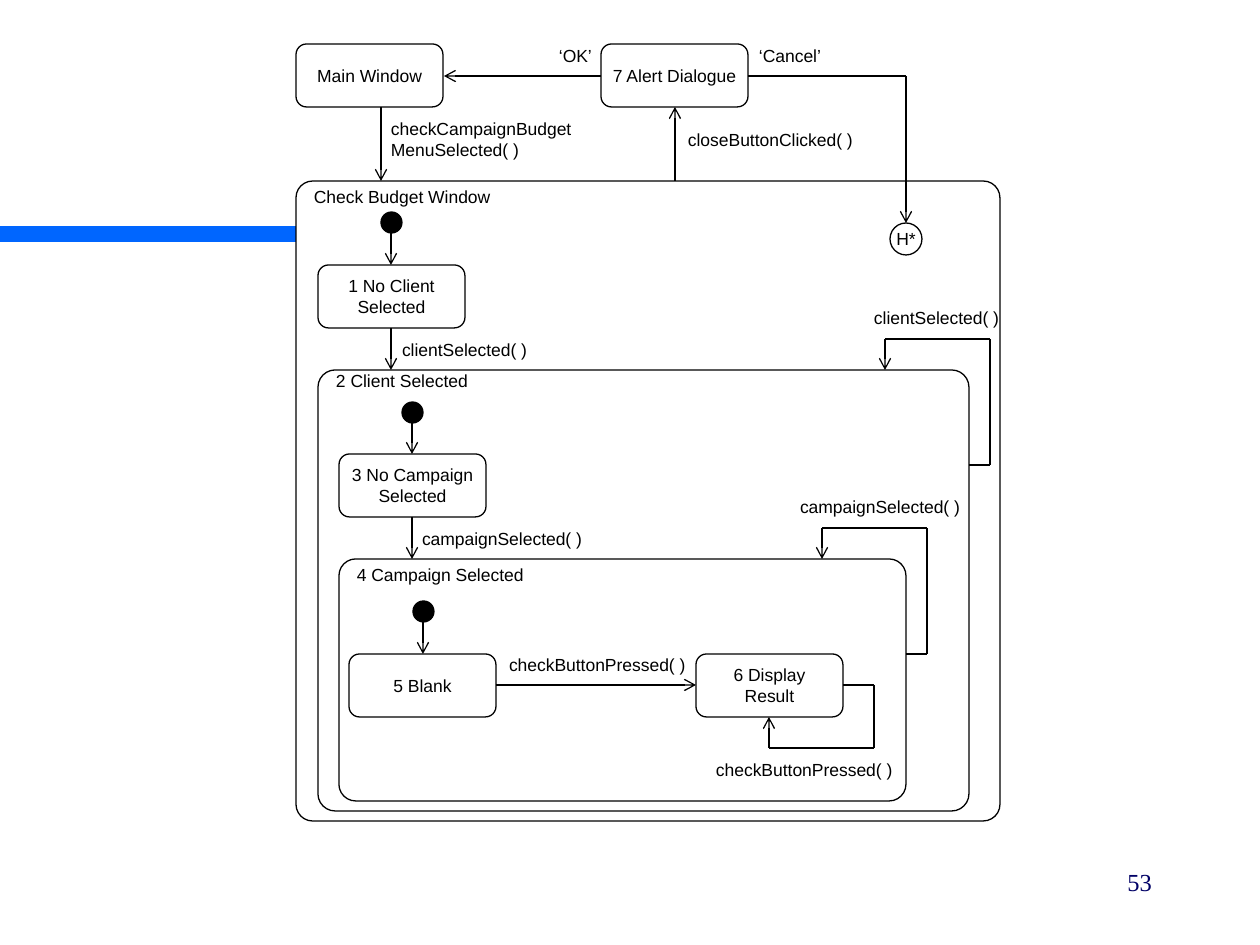
from itertools import pairwise

from lxml import etree
from pptx import Presentation
from pptx import util as u
from pptx.dml.color import RGBColor
from pptx.enum import shapes, text
from pptx.oxml import ns

PX = 914400 // 126
COLOURS = {"ink": "000000", "paper": "FFFFFF", "bar": "0066FF", "number": "000066"}
STATE_W, STATE_H = 147, 63
DOT = 21
CORNER = 0.167

# title, (left, top, width, height), corner ratio, top inset
COMPOSITES = [
    ("Check Budget Window", (296, 181, 704, 640), 0.026, 0),
    ("2 Client Selected", (318, 370, 651, 441), 0.039, -5),
    ("4 Campaign Selected", (339, 559, 567, 242), 0.069, 0),
]
# lines, left, top
STATES = [
    (["Main Window"], 296, 44),
    (["7 Alert Dialogue"], 601, 44),
    (["1 No Client", "Selected"], 318, 265),
    (["3 No Campaign", "Selected"], 339, 454),
    (["5 Blank"], 349, 654),
    (["6 Display", "Result"], 696, 654),
]
# centre x, top, end of the arrow below
INITIAL_STATES = [(391, 212, 265), (412, 402, 454), (423, 601, 654)]
# corner points; the arrowhead is at the last one
TRANSITIONS = [
    [(601, 76), (444, 76)],
    [(381, 107), (381, 181)],
    [(675, 181), (675, 107)],
    [(748, 76), (906, 76), (906, 223)],
    [(391, 328), (391, 370)],
    [(969, 465), (990, 465), (990, 339), (885, 339), (885, 370)],
    [(412, 517), (412, 559)],
    [(906, 654), (927, 654), (927, 528), (822, 528), (822, 559)],
    [(496, 685), (696, 685)],
    [(843, 685), (874, 685), (874, 748), (769, 748), (769, 717)],
]
# lines, left, top, width
LABELS = [
    (["‘OK’"], 559, 45, 40),
    (["‘Cancel’"], 759, 45, 70),
    (["checkCampaignBudget", "MenuSelected( )"], 391, 118, 190),
    (["closeButtonClicked( )"], 688, 129, 175),
    (["clientSelected( )"], 874, 307, 135),
    (["clientSelected( )"], 402, 339, 135),
    (["campaignSelected( )"], 800, 496, 170),
    (["campaignSelected( )"], 422, 528, 170),
    (["checkButtonPressed( )"], 509, 654, 186),
    (["checkButtonPressed( )"], 716, 759, 186),
]

deck = Presentation()
deck.slide_width, deck.slide_height = 1260 * PX, 945 * PX
page = deck.slides.add_slide(deck.slide_layouts[6])


def colour(name):
    return RGBColor.from_string(COLOURS[name])


def write(shape, lines, align=text.PP_ALIGN.LEFT, anchor=text.MSO_ANCHOR.MIDDLE,
          insets=(0, 0, 0, 0), wrap=True, size=10, font="Arial", ink="ink"):
    """Fill a shape with one paragraph per line; insets are left, top, right, bottom."""
    frame = shape.text_frame
    frame.word_wrap = wrap
    frame.vertical_anchor = anchor
    (frame.margin_left, frame.margin_top,
     frame.margin_right, frame.margin_bottom) = [inset * PX for inset in insets]
    for i, line in enumerate(lines):
        para = frame.add_paragraph() if i else frame.paragraphs[0]
        para.alignment = align
        span = para.add_run()
        span.text = line
        span.font.size, span.font.name = u.Pt(size), font
        span.font.color.rgb = colour(ink)


def add_box(kind, box, fill="paper", line="ink", corner=None):
    shape = page.shapes.add_shape(kind, *[n * PX for n in box])
    shape.shadow.inherit = False
    shape.fill.solid()
    shape.fill.fore_color.rgb = colour(fill)
    if line:
        shape.line.color.rgb = colour(line)
        shape.line.width = u.Pt(0.75)
    else:
        shape.line.fill.background()
    if corner is not None:
        shape.adjustments[0] = corner
    return shape


def add_transition(points):
    """Draw straight segments through the points, with an open arrowhead at the end."""
    for start, end in pairwise(points):
        line = page.shapes.add_connector(
            shapes.MSO_CONNECTOR.STRAIGHT, *[n * PX for n in (*start, *end)])
        line.line.color.rgb = colour("ink")
        line.line.width = u.Pt(0.75)
        etree.SubElement(line._element.spPr, ns.qn("a:effectLst"))
    outline = line._element.spPr.find(ns.qn("a:ln"))
    etree.SubElement(outline, ns.qn("a:tailEnd"), type="arrow")


def add_text(lines, box, **style):
    write(page.shapes.add_textbox(*[n * PX for n in box]), lines,
          anchor=text.MSO_ANCHOR.TOP, **style)


SHAPE = shapes.MSO_SHAPE
CENTER = text.PP_ALIGN.CENTER

add_box(SHAPE.RECTANGLE, (0, 226, 461, 16), "bar", None)

for title, box, corner, inset_top in COMPOSITES:
    write(add_box(SHAPE.ROUNDED_RECTANGLE, box, corner=corner), [title],
          anchor=text.MSO_ANCHOR.TOP, insets=(13, inset_top, 13, 6))

for lines, left, top in STATES:
    state = add_box(SHAPE.ROUNDED_RECTANGLE, (left, top, STATE_W, STATE_H), corner=CORNER)
    write(state, lines, CENTER, wrap=False)

for x, top, end in INITIAL_STATES:
    add_box(SHAPE.OVAL, (x - DOT // 2, top, DOT, DOT), "ink")
    add_transition([(x, top + DOT), (x, end)])

for points in TRANSITIONS:
    add_transition(points)

write(add_box(SHAPE.OVAL, (890, 223, 32, 32)), ["H*"], CENTER, wrap=False)

for lines, left, top, width in LABELS:
    add_text(lines, (left, top, width, 21 * len(lines)))

add_text(["53"], (903, 861, 262, 63), align=text.PP_ALIGN.RIGHT, insets=(13, 6, 13, 6),
         size=14, font="Times New Roman", ink="number")

deck.save("out.pptx")
